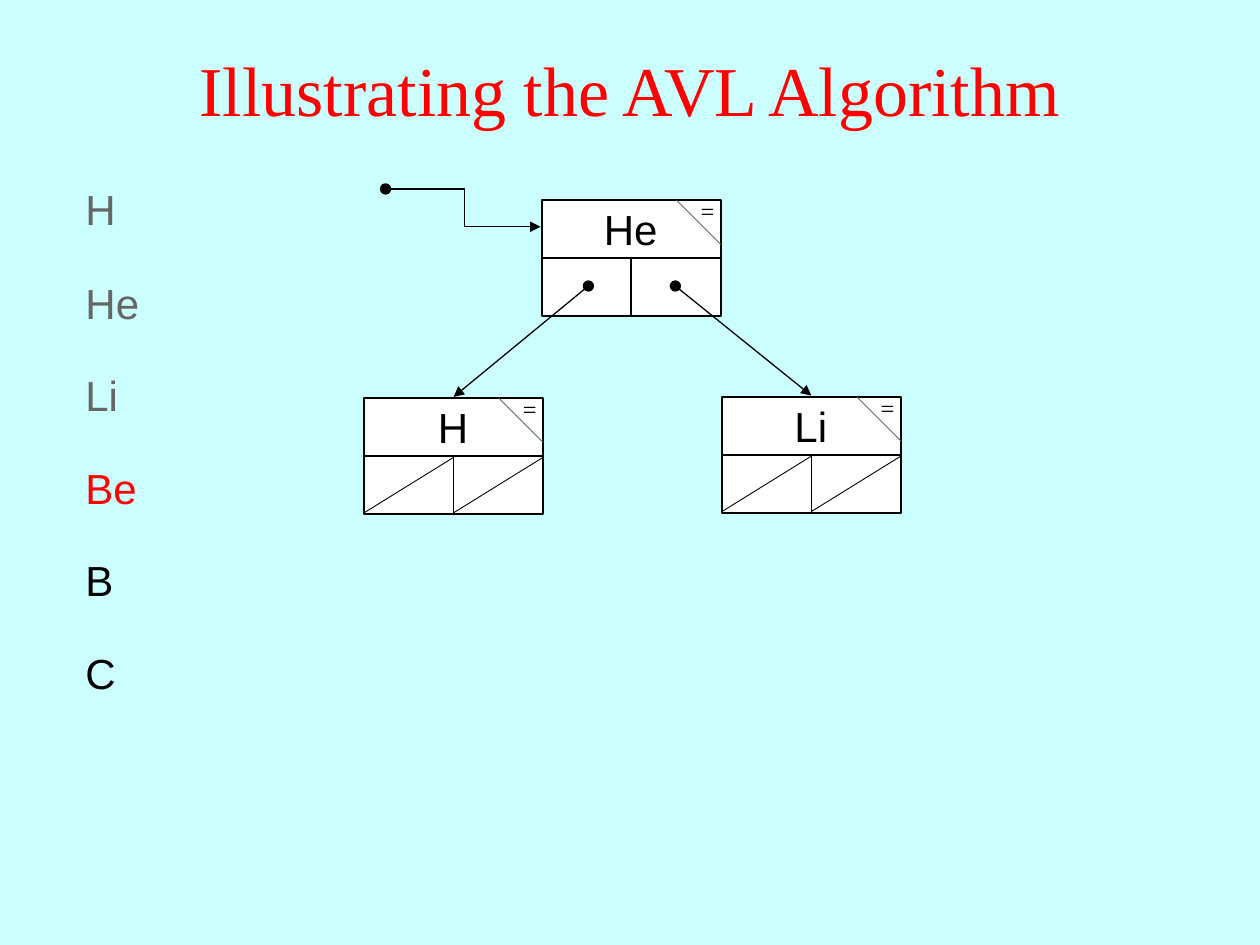
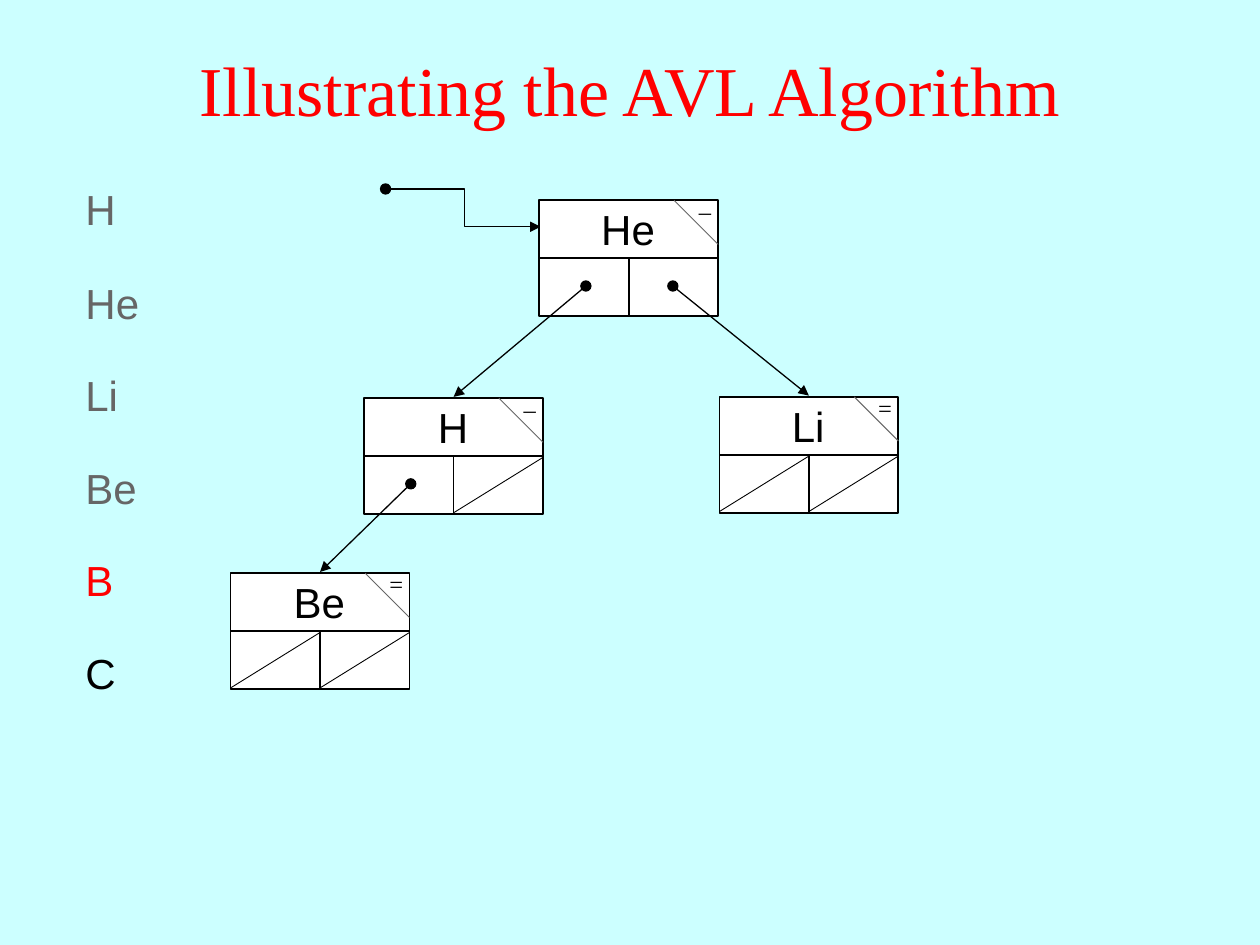
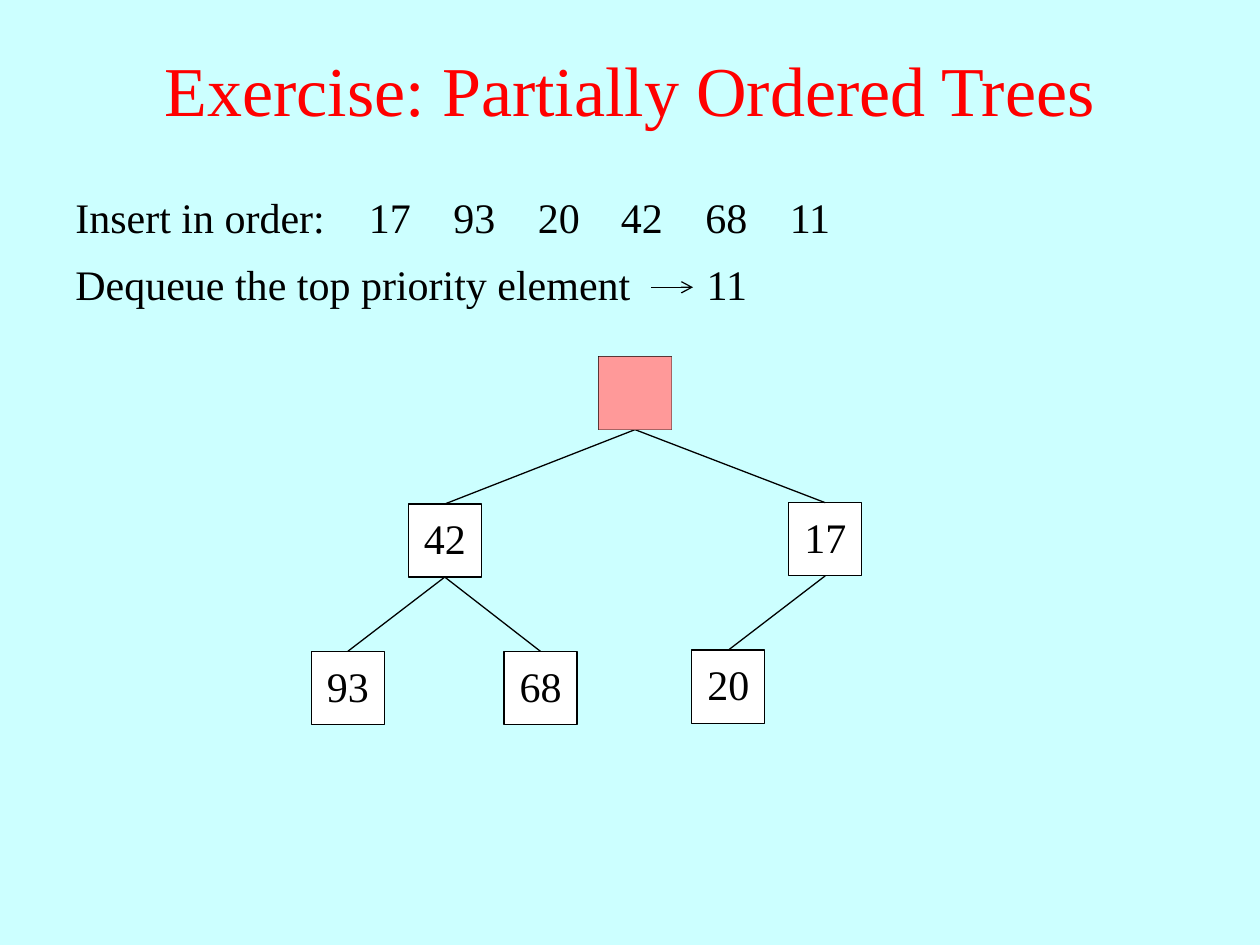
"""Build three slides on AVL insertion and partially ordered trees."""
from dataclasses import dataclass
from typing import Any

from lxml.etree import SubElement
from pptx import Presentation
from pptx.dml.color import RGBColor
from pptx.enum.shapes import MSO_CONNECTOR, MSO_SHAPE
from pptx.enum.text import MSO_ANCHOR, MSO_AUTO_SIZE, PP_ALIGN
from pptx.oxml.ns import qn
from pptx.shapes.autoshape import Shape
from pptx.slide import Slide
from pptx.util import Emu, Pt

EMU_PER_PX = 9144
SLIDE_WIDTH, SLIDE_HEIGHT = 1000, 750
BACKGROUND, WHITE, BLACK = "CCFFFF", "FFFFFF", "000000"
RED, GRAY, PINK = "FF0000", "666666", "FF9999"
SANS, SERIF = "Arial", "Times New Roman"

NODE_WIDTH, NODE_HEIGHT = 142, 92
HALF_WIDTH, HALF_HEIGHT = NODE_WIDTH // 2, NODE_HEIGHT // 2
CORNER = 35
DOT = 8
SQUARE = 58
TEXT_HEIGHT = 50

ELEMENTS = ["H", "He", "Li", "Be", "B", "C"]
INSERTED = ["17", "93", "20", "42", "68", "11"]


@dataclass(frozen=True)
class AvlNode:
    """A tree node with its balance mark and the names of its children."""

    left: int
    top: int
    label: str
    balance: str
    children: tuple[str | None, str | None] = (None, None)


@dataclass(frozen=True)
class HeapNode:
    """A square of the partially ordered tree."""

    left: int
    top: int
    label: str = ""
    parent: int | None = None


@dataclass(frozen=True)
class AvlStep:
    """The tree just before one element is inserted."""

    next_element: str
    nodes: list[AvlNode]


AVL_STEPS = [
    AvlStep("Be", [
        AvlNode(289, 316, "H", "="),
        AvlNode(430, 159, "He", "=", ("H", "Li")),
        AvlNode(573, 315, "Li", "="),
    ]),
    AvlStep("B", [
        AvlNode(289, 316, "H", "–", ("Be", None)),
        AvlNode(428, 159, "He", "–", ("H", "Li")),
        AvlNode(571, 315, "Li", "="),
        AvlNode(183, 455, "Be", "="),
    ]),
]

HEAP = [
    HeapNode(475, 283),
    HeapNode(324, 400, "42", 0),
    HeapNode(626, 399, "17", 0),
    HeapNode(247, 517, "93", 1),
    HeapNode(400, 517, "68", 1),
    HeapNode(549, 516, "20", 2),
]


def px(length: int) -> Emu:
    """Turn pixels into EMU."""
    return Emu(length * EMU_PER_PX)


def color(value: str) -> RGBColor:
    """Turn a hex string into a colour."""
    return RGBColor.from_string(value)


def apply_format(target: Any, values: dict[str, Any]) -> None:
    """Set every named attribute on the target."""
    for name, value in values.items():
        setattr(target, name, value)


def add_text(slide: Slide, left: int, top: int, width: int, text: str, *,
             height: int = TEXT_HEIGHT, size: int = 24, font: str = SERIF,
             fill: str = BLACK, align: PP_ALIGN = PP_ALIGN.LEFT,
             anchor: MSO_ANCHOR = MSO_ANCHOR.TOP) -> None:
    """Add a text box with one line of text."""
    shape = slide.shapes.add_textbox(px(left), px(top), px(width), px(height))
    apply_format(shape.text_frame, {
        "word_wrap": True,
        "auto_size": MSO_AUTO_SIZE.NONE,
        "vertical_anchor": anchor,
    })
    paragraph = shape.text_frame.paragraphs[0]
    paragraph.alignment = align
    run = paragraph.add_run()
    run.text = text
    apply_format(run.font, {"name": font, "size": Pt(size)})
    run.font.color.rgb = color(fill)


def add_box(slide: Slide, preset: MSO_SHAPE, left: int, top: int, width: int,
            height: int, fill: str, line_width: float = 0) -> Shape:
    """Add a filled shape, outlined in black when a line width is given."""
    shape = slide.shapes.add_shape(preset, px(left), px(top), px(width), px(height))
    shape.shadow.inherit = False
    shape.fill.solid()
    shape.fill.fore_color.rgb = color(fill)
    if line_width:
        shape.line.width = Pt(line_width)
        shape.line.color.rgb = color(BLACK)
    else:
        shape.line.fill.background()
    return shape


def add_line(slide: Slide, start: tuple[int, int], end: tuple[int, int],
             width: float = 0.75, stroke: str = BLACK, head: str = "",
             kind: MSO_CONNECTOR = MSO_CONNECTOR.STRAIGHT) -> None:
    """Add a connector, with an arrowhead at its end when one is named."""
    connector = slide.shapes.add_connector(kind, *map(px, start + end))
    connector.line.width = Pt(width)
    connector.line.color.rgb = color(stroke)
    if head:
        SubElement(connector.line._get_or_add_ln(), qn("a:tailEnd"), type=head)
    SubElement(connector._element.spPr, qn("a:effectLst"))


def add_dot(slide: Slide, left: int, top: int) -> None:
    """Add the dot at which a pointer begins."""
    add_box(slide, MSO_SHAPE.OVAL, left, top, DOT, DOT, BLACK, 0.75)


def add_titled_slide(presentation: Presentation, title: str) -> Slide:
    """Add a blank slide with the shared background and title."""
    slide = presentation.slides.add_slide(presentation.slide_layouts[6])
    slide.background.fill.solid()
    slide.background.fill.fore_color.rgb = color(BACKGROUND)
    add_text(slide, 0, 8, SLIDE_WIDTH, title, height=125, size=40, fill=RED,
             align=PP_ALIGN.CENTER, anchor=MSO_ANCHOR.MIDDLE)
    return slide


def draw_avl_node(slide: Slide, node: AvlNode) -> None:
    """Draw a node's box, label, balance corner and empty child cells."""
    left, top = node.left, node.top
    right, bottom = left + NODE_WIDTH, top + NODE_HEIGHT
    middle, divider = left + HALF_WIDTH, top + HALF_HEIGHT
    add_box(slide, MSO_SHAPE.RECTANGLE, left, top, NODE_WIDTH, NODE_HEIGHT, WHITE, 1)
    add_line(slide, (left, divider), (right, divider), 1)
    add_line(slide, (middle, divider), (middle, bottom), 1)
    add_text(slide, left + 29, top - 2, 83, node.label, font=SANS,
             align=PP_ALIGN.CENTER)
    add_line(slide, (right - CORNER, top), (right, top + CORNER), 0.5, GRAY)
    add_text(slide, left + 115, top - 8, 33, node.balance, height=34, size=14,
             align=PP_ALIGN.CENTER)
    for cell_left, child in zip((left, middle), node.children):
        if child is None:
            add_line(slide, (cell_left, bottom - 1),
                     (cell_left + HALF_WIDTH, divider + 1), 0.5)


def draw_pointers(slide: Slide, node: AvlNode, nodes: dict[str, AvlNode]) -> None:
    """Draw an arrow from each filled child cell to the child."""
    for offset, name in zip((33, 102), node.children):
        if name:
            child = nodes[name]
            dot_left, dot_top = node.left + offset, node.top + 64
            add_dot(slide, dot_left, dot_top)
            add_line(slide, (dot_left + DOT // 2, dot_top + DOT // 2),
                     (child.left + HALF_WIDTH, child.top - 1), head="triangle")


def draw_element_list(slide: Slide, next_element: str) -> None:
    """List the elements: inserted in gray, the next in red, the rest in black."""
    current = ELEMENTS.index(next_element)
    for index, element in enumerate(ELEMENTS):
        fill = GRAY if index < current else RED if index == current else BLACK
        add_text(slide, 58, 141 + round(index * 73.6), 67, element,
                 font=SANS, fill=fill)


def build_avl_slide(presentation: Presentation, step: AvlStep) -> None:
    """Build one step of the AVL illustration."""
    slide = add_titled_slide(presentation, "Illustrating the AVL Algorithm")
    add_dot(slide, 302, 146)
    add_line(slide, (308, 150), (429, 180), head="triangle", kind=MSO_CONNECTOR.ELBOW)
    for node in step.nodes:
        draw_avl_node(slide, node)
    nodes = {node.label: node for node in step.nodes}
    for node in step.nodes:
        draw_pointers(slide, node, nodes)
    draw_element_list(slide, step.next_element)


def build_heap_slide(presentation: Presentation) -> None:
    """Build the exercise on partially ordered trees."""
    slide = add_titled_slide(presentation, "Exercise: Partially Ordered Trees")
    add_text(slide, 50, 147, 233, "Insert in order:")
    for index, number in enumerate(INSERTED):
        add_text(slide, 283 + round(index * 66.8), 147, 58, number)
    add_text(slide, 50, 200, 625, "Dequeue the top priority element")
    add_text(slide, 551, 200, 67, "11")
    add_line(slide, (517, 228), (550, 228), head="arrow")
    for node in HEAP:
        add_box(slide, MSO_SHAPE.RECTANGLE, node.left, node.top, SQUARE, SQUARE,
                WHITE, 0.75)
        if node.parent is not None:
            parent = HEAP[node.parent]
            add_line(slide, (parent.left + SQUARE // 2, parent.top + SQUARE),
                     (node.left + SQUARE // 2, node.top))
            add_text(slide, node.left, node.top + 2, SQUARE, node.label,
                     align=PP_ALIGN.CENTER)
    root = HEAP[0]
    add_box(slide, MSO_SHAPE.RECTANGLE, root.left, root.top, SQUARE, SQUARE, PINK)


def main() -> None:
    """Build and save the presentation."""
    presentation = Presentation()
    apply_format(presentation, {
        "slide_width": px(SLIDE_WIDTH),
        "slide_height": px(SLIDE_HEIGHT),
    })
    for step in AVL_STEPS:
        build_avl_slide(presentation, step)
    build_heap_slide(presentation)
    presentation.save("out.pptx")


if __name__ == "__main__":
    main()
